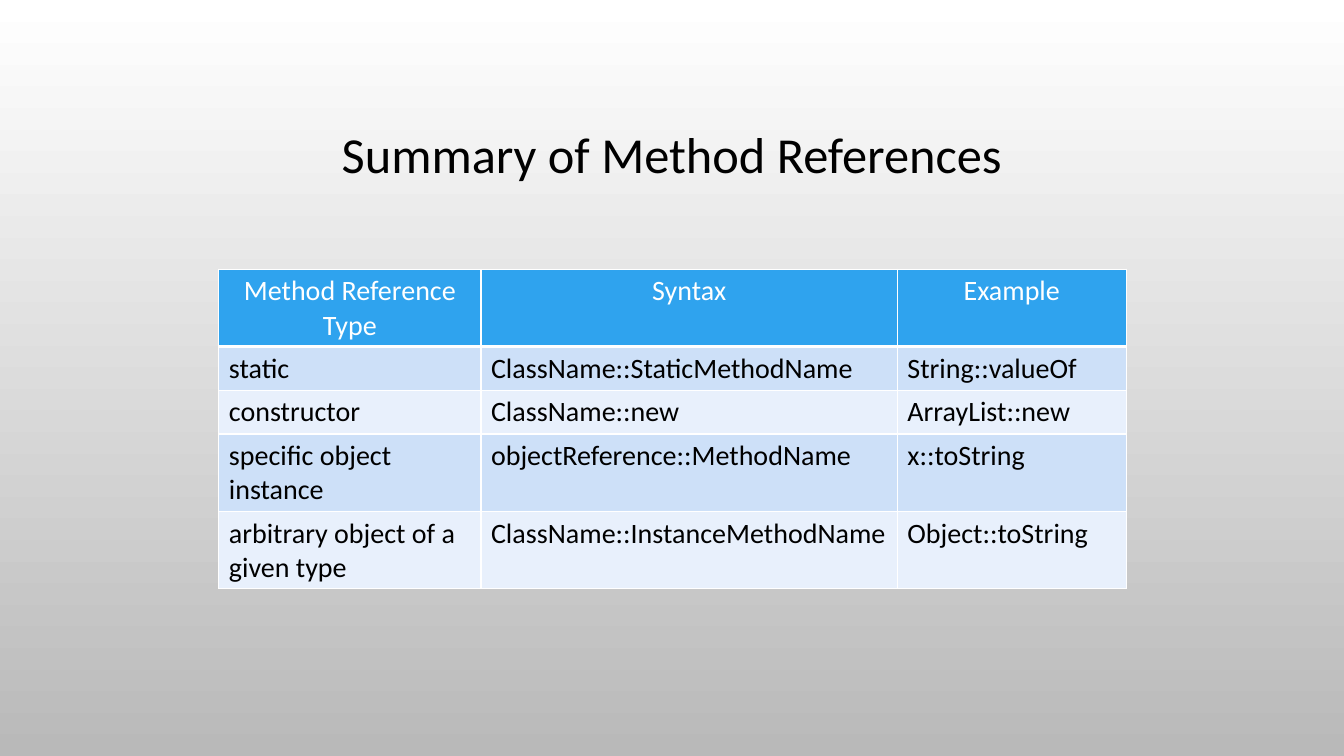
from pptx import Presentation
from pptx.dml.color import RGBColor
from pptx.enum.text import MSO_ANCHOR, PP_ALIGN
from pptx.oxml import parse_xml
from pptx.oxml.ns import nsdecls
from pptx.util import Inches, Pt

WHITE = RGBColor(0xFF, 0xFF, 0xFF)
BLACK = RGBColor(0x00, 0x00, 0x00)
GREY = RGBColor(0xB9, 0xB9, 0xB9)
BLUE = RGBColor(0x2F, 0xA3, 0xEE)
BAND_DARK = RGBColor(0xCD, 0xE0, 0xF8)
BAND_LIGHT = RGBColor(0xE8, 0xF0, 0xFC)

COL_WIDTHS = [2.6, 4.13, 2.27]
ROW_HEIGHT = 0.41
ROWS = [
    ("Method Reference Type", "Syntax", "Example"),
    ("static", "ClassName::StaticMethodName", "String::valueOf"),
    ("constructor", "ClassName::new", "ArrayList::new"),
    ("specific object instance", "objectReference::MethodName", "x::toString"),
    ("arbitrary object of a given type", "ClassName::InstanceMethodName",
     "Object::toString"),
]


def write(tf, text, size=20, color=BLACK, align=PP_ALIGN.LEFT, spacing=None):
    p = tf.paragraphs[0]
    p.alignment = align
    p.line_spacing = spacing
    r = p.add_run()
    r.text = text
    r.font.name = "Calibri"
    r.font.size = Pt(size)
    r.font.bold = False
    r.font.color.rgb = color


def set_borders(cell, bottom=1):
    tcPr = cell._tc.get_or_add_tcPr()
    widths = {"lnL": 1, "lnR": 1, "lnT": 1, "lnB": bottom}
    for i, (side, width) in enumerate(widths.items()):
        # Border lines come before the fill in the cell properties
        tcPr.insert(i, parse_xml(
            f'<a:{side} {nsdecls("a")} w="{Pt(width)}"><a:solidFill>'
            f'<a:srgbClr val="{WHITE}"/></a:solidFill></a:{side}>'))


def paint_background(s):
    fill = s.background.fill
    fill.gradient()
    fill.gradient_angle = 270
    for stop, color in zip(fill.gradient_stops, (WHITE, GREY)):
        stop.color.rgb = color


def add_title(s, x, y, w, h):
    tf = s.shapes.add_textbox(Inches(x), Inches(y), Inches(w), Inches(h)).text_frame
    tf.word_wrap = True
    tf.vertical_anchor = MSO_ANCHOR.MIDDLE
    write(tf, "Summary of Method References", size=36,
          align=PP_ALIGN.CENTER, spacing=0.9)


def add_summary_table(s, x, y):
    table = s.shapes.add_table(
        len(ROWS), len(COL_WIDTHS), Inches(x), Inches(y),
        Inches(sum(COL_WIDTHS)), Inches(ROW_HEIGHT * len(ROWS))).table
    for col, width in zip(table.columns, COL_WIDTHS):
        col.width = Inches(width)
    for i, row in enumerate(ROWS):
        header = i == 0
        band = BAND_DARK if i % 2 else BAND_LIGHT
        for j, text in enumerate(row):
            cell = table.cell(i, j)
            cell.fill.solid()
            cell.fill.fore_color.rgb = BLUE if header else band
            set_borders(cell, bottom=3 if header else 1)
            write(cell.text_frame, text, color=WHITE if header else BLACK,
                  align=PP_ALIGN.CENTER if header else PP_ALIGN.LEFT)


def main():
    prs = Presentation()
    prs.slide_width, prs.slide_height = Inches(13.33), Inches(7.5)
    s = prs.slides.add_slide(prs.slide_layouts[6])
    paint_background(s)
    add_title(s, 1, 0.68, 11.33, 1.75)
    add_summary_table(s, 2.17, 2.67)
    prs.save("out.pptx")


if __name__ == "__main__":
    main()
